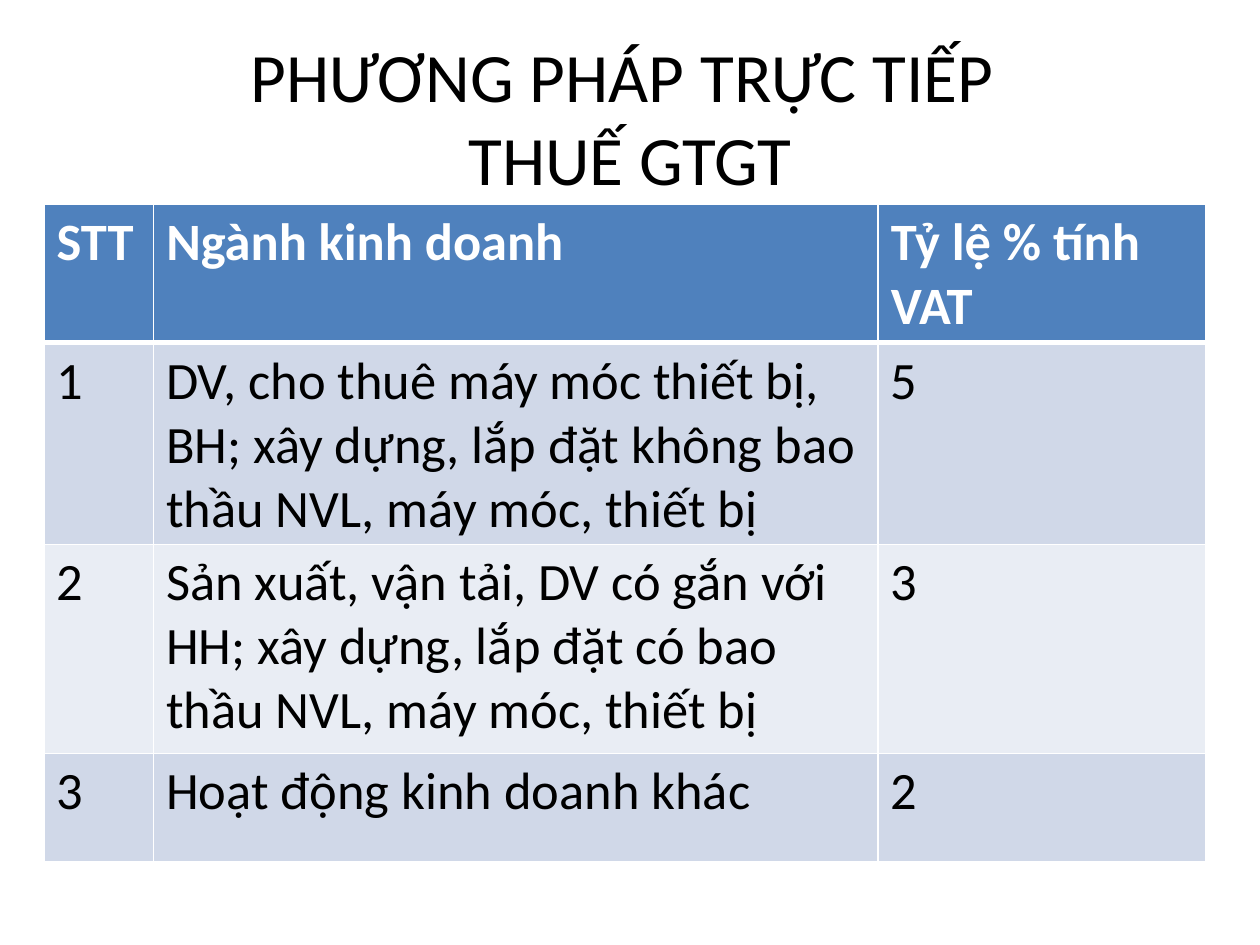
"""Build the slide on direct-method VAT rates by line of business."""
from dataclasses import dataclass

from lxml.etree import SubElement
from pptx import Presentation
from pptx.dml.color import RGBColor
from pptx.enum.text import MSO_ANCHOR, PP_ALIGN
from pptx.oxml.ns import qn
from pptx.util import Inches, Pt

WIDE, HIGH = 10, 7.5
FONT = "Calibri"
WHITE, BLACK = "FFFFFF", "000000"
COLS = (0.87, 5.75, 2.6)


@dataclass(frozen=True)
class Band:
    """One table row with its look."""
    high: float
    cells: tuple[str, str, str]
    fill: str
    ink: str = BLACK
    bold: bool = False
    top: int = 1
    base: int = 1


BANDS = (
    Band(1.07, ("STT", "Ngành kinh doanh", "Tỷ lệ % tính VAT"),
         "4F81BD", WHITE, True, base=3),
    Band(1.6, ("1", "DV, cho thuê máy móc thiết bị, BH; xây dựng, lắp đặt "
               "không bao thầu NVL, máy móc, thiết bị", "5"), "D0D8E8", top=3),
    Band(1.66, ("2", "Sản xuất, vận tải, DV có gắn với HH; xây dựng, lắp đặt "
                "có bao thầu NVL, máy móc, thiết bị", "3"), "E9EDF4"),
    Band(0.86, ("3", "Hoạt động kinh doanh khác", "2"), "D0D8E8"),
)


def tint(code: str) -> RGBColor:
    """Turn a hex string into a colour."""
    return RGBColor.from_string(code)


def write(para, text: str, size: float, ink: str, bold: bool = False) -> None:
    """Add one styled run to a paragraph."""
    run = para.add_run()
    run.text = text
    run.font.name, run.font.size, run.font.bold = FONT, Pt(size), bold
    run.font.color.rgb = tint(ink)


def edge(cell, side: str, width: int) -> None:
    """Add a white border to one side of a cell."""
    line = SubElement(cell._tc.get_or_add_tcPr(), qn(f"a:ln{side}"), w=str(Pt(width)))
    fill = SubElement(line, qn("a:solidFill"))
    SubElement(fill, qn("a:srgbClr"), val=WHITE)


def title(slide, lines: tuple[str, ...]) -> None:
    """Draw the centred heading."""
    box = slide.shapes.add_textbox(Inches(WIDE * 0.05), Inches(HIGH * 0.04),
                                   Inches(WIDE * 0.9), Inches(1.25))
    frame = box.text_frame
    frame.word_wrap = True
    frame.vertical_anchor = MSO_ANCHOR.MIDDLE
    para = frame.paragraphs[0]
    para.alignment = PP_ALIGN.CENTER
    for spot, text in enumerate(lines):
        if spot:
            para.add_line_break()
        write(para, text, 39.6, BLACK)


def rates(slide, bands: tuple[Band, ...]) -> None:
    """Draw the table of rates."""
    table = slide.shapes.add_table(
        len(bands), len(COLS), Inches(0.35), Inches(1.62), Inches(sum(COLS)),
        Inches(sum(band.high for band in bands))).table
    for col, width in zip(table.columns, COLS):
        col.width = Inches(width)
    for row, band in zip(table.rows, bands):
        row.height = Inches(band.high)
        for cell, text in zip(row.cells, band.cells):
            for side, width in zip("LRTB", (1, 1, band.top, band.base)):
                edge(cell, side, width)
            cell.fill.solid()
            cell.fill.fore_color.rgb = tint(band.fill)
            write(cell.text_frame.paragraphs[0], text, 30, band.ink, band.bold)


def main() -> None:
    """Build and save the deck."""
    deck = Presentation()
    deck.slide_width, deck.slide_height = Inches(WIDE), Inches(HIGH)
    slide = deck.slides.add_slide(deck.slide_layouts[6])
    title(slide, ("PHƯƠNG PHÁP TRỰC TIẾP ", "THUẾ GTGT"))
    rates(slide, BANDS)
    deck.save("out.pptx")


if __name__ == "__main__":
    main()
